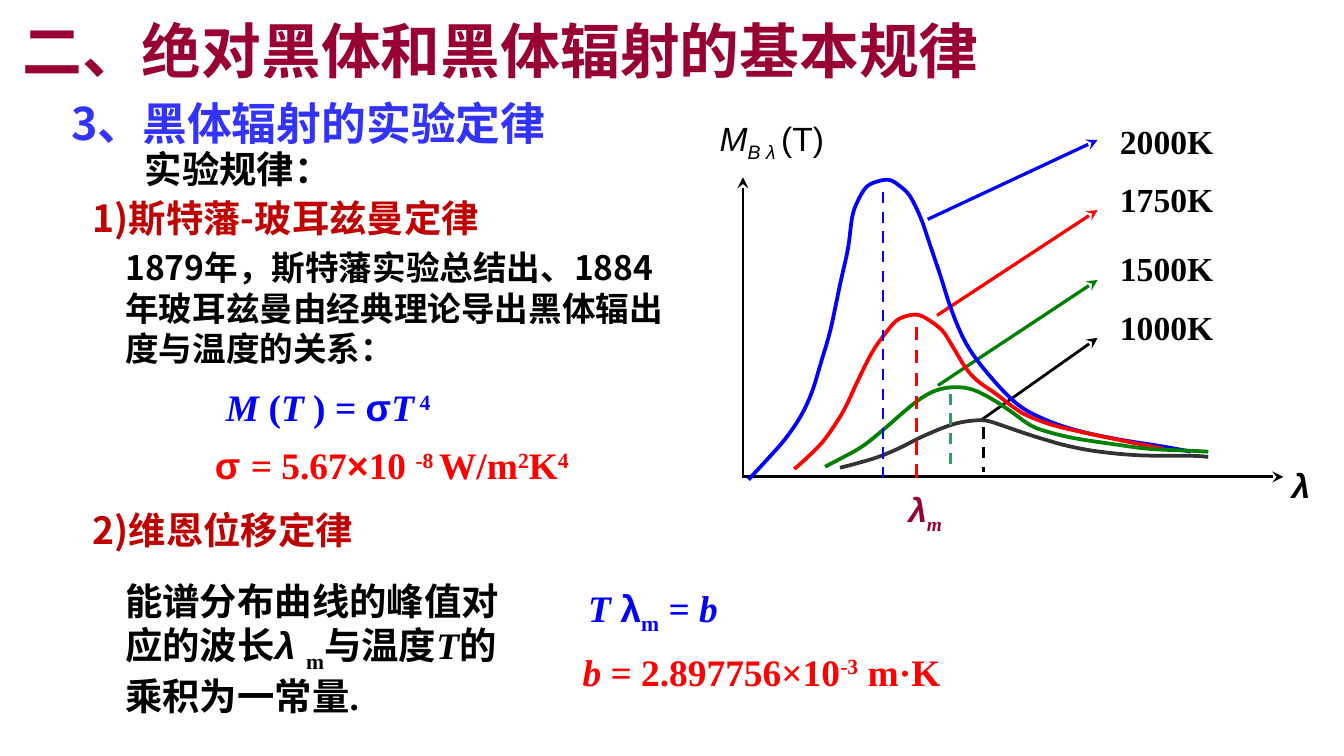
from lxml import etree
from pptx import Presentation
from pptx.dml.color import RGBColor
from pptx.enum.dml import MSO_LINE
from pptx.enum.shapes import MSO_CONNECTOR
from pptx.enum.text import PP_ALIGN
from pptx.oxml.ns import qn
from pptx.util import Pt

STRAIGHT = MSO_CONNECTOR.STRAIGHT
DASH = MSO_LINE.DASH
LEFT, CENTER = PP_ALIGN.LEFT, PP_ALIGN.CENTER

CJK, SERIF, SANS = "Noto Sans CJK SC", "Times New Roman", "Arial"
SUB, SUP = -25000, 30000
COLORS = {"black": "000000", "blue": "0000FF", "red": "FF0000", "green": "008000",
          "gray": "333333", "teal": "339966", "wine": "990033", "brick": "C00000",
          "indigo": "3333FF"}

# Content: box (left, top, width, height), runs, format.
# A run is a string or (string, what differs from the format of the box).
IT = {"italic": True}
GREEK = {"font": SANS}
TEXTS = [
    ((5, 4, 701, 46), ["二、绝对黑体和黑体辐射的基本规律"],
     dict(size=32, color="wine", font=CJK)),
    ((31, 47.5, 516, 36), ["3、黑体辐射的实验定律"],
     dict(size=24, color="indigo", font=CJK)),
    ((70.5, 75, 136, 32), ["实验规律："], dict(font=CJK)),
    ((42.5, 101, 301, 32), ["1)斯特藩-玻耳兹曼定律"], dict(color="brick", font=CJK)),
    ((60, 129, 312, 72),
     ["1879年，斯特藩实验总结出、1884年玻耳兹曼由经典理论导出黑体辐出度与温度的关系："],
     dict(size=18, font=CJK)),
    ((114, 202.5, 164, 34.5),
     [("M ", IT), "(", ("T ", IT), ") = ", ("σ", GREEK), ("T", IT), (" 4", {"base": SUP})],
     dict(color="blue")),
    ((108, 233.5, 269, 32),
     [("σ ", GREEK), "= 5.67", ("×", GREEK), "10 ", ("-8 ", {"base": SUP}), "W/m",
      ("2", {"base": SUP}), "K", ("4", {"base": SUP})], dict(color="red")),
    ((42.5, 268, 271, 32), ["2)维恩位移定律"], dict(color="brick", font=CJK)),
    ((60, 306, 218, 83),
     ["能谱分布曲线的峰值对应的波长", ("λ ", GREEK | IT), ("m", {"base": SUB}),
      "与温度", ("T", IT), "的乘积为一常量."], {}),
    ((308, 310, 136, 34.5),
     [("T ", IT), ("λ", GREEK), ("m", {"base": SUB}), " = ", ("b", IT)], dict(color="blue")),
    ((305, 344, 276, 32),
     [("b", IT), " = 2.897756×10", ("-3", {"base": SUP}), " m·K"], dict(color="red")),
    ((479.5, 258.5, 54, 32), [("λ", GREEK), ("m", {"base": SUB})],
     dict(size=18, color="wine", italic=True)),
]

# Chart labels: tight, centred boxes
LABEL = dict(size=18, align=CENTER, inset=(0, 0), spacing=1.1)
AXIS_LABELS = [
    ((381, 60.5, 65, 27), [("Μ", IT), ("Β λ ", IT | {"base": SUB}), "(Τ)"],
     dict(font=SANS, bold=False, wrap=False)),
    ((683, 247, 28, 24), ["λ"], dict(font=SANS, italic=True)),
]
AXES = [(398, 256, 398, 95), (398, 255.5, 687.5, 255.5)]

# Temperature label, its top, arrow (from, to), arrow colour and width
TEMPERATURES = [
    ("2000K", 62.5, (497, 117.5, 588, 75), "blue", 1.75),
    ("1750K", 93.5, (502, 169, 588, 112.5), "red", 1.75),
    ("1500K", 130.5, (502.5, 206.5, 588, 150), "green", 1.75),
    ("1000K", 162, (525, 225.5, 588, 181), "black", 1.5),
]
# Dashed line at each peak: x, top, bottom, colour, width
PEAKS = [(527, 229, 253, "black", 1.5), (509, 211, 253, "teal", 1.5),
         (491, 175, 258.5, "red", 1.75), (473, 103, 258.5, "blue", 1.5)]
# Knots of the radiation curves
CURVES = {
    "blue": [(401, 257), (411, 246.2), (420.5, 235.4), (429, 223), (435, 210),
             (440, 193.7), (445, 176.4), (450, 152.6), (454.3, 133.2), (456.5, 116.6),
             (459.4, 108), (464.4, 100), (471, 97), (476.6, 96.5), (481.7, 99.4),
             (487.4, 105), (493.2, 116.6), (497.5, 129), (504, 148.3), (509.8, 166.3),
             (517.7, 184.3), (529.2, 200.2), (544.3, 216), (558, 224), (576, 230.4),
             (599, 235.4), (621.4, 239), (638, 242)],
    "red": [(425.5, 251.3), (431.3, 246.2), (440, 237.6), (447, 228), (452.9, 218.2),
            (460, 203), (467.3, 188.6), (474, 179), (480, 172), (486, 169.2),
            (491.8, 168.7), (497.5, 171.4), (504.7, 177), (510, 185), (517, 196.6),
            (523.4, 203.8), (533.5, 211), (543, 218.2), (550, 222.5), (561.6, 227),
            (574.6, 230.4), (601.9, 236.2), (623.5, 240.5)],
    "green": [(442, 250), (450.7, 245.5), (462.2, 239), (473.8, 229.7), (484.6, 220.3),
              (494, 213), (502.6, 208.8), (512, 207.4), (521.3, 208.8), (531.4, 213.8),
              (541.4, 220.3), (551.5, 227.5), (560.2, 231), (575.3, 234.7),
              (599, 238.3), (616.3, 240.5), (638.6, 241.5), (647.3, 242)],
    "gray": [(450, 250.6), (458.6, 248.4), (470, 245), (481, 240.5), (492.5, 234.7),
             (504, 229.7), (512.6, 226.8), (521, 225.4), (528.5, 225.4), (537, 228),
             (548, 231.8), (559.4, 235.4), (572.4, 239), (589, 242), (611.3, 244),
             (638, 244.2), (647.3, 244.8)],
}


def rgb(name):
    return RGBColor.from_string(COLORS[name])


def add_text(s, box, runs, size=20, color="black", font=SERIF, bold=True, italic=False,
             align=LEFT, inset=(7.2, 3.6), spacing=None, wrap=True):
    tf = s.shapes.add_textbox(*map(Pt, box)).text_frame
    tf.word_wrap = wrap
    tf.margin_left = tf.margin_right = Pt(inset[0])
    tf.margin_top = tf.margin_bottom = Pt(inset[1])
    p = tf.paragraphs[0]
    p.alignment = align
    if spacing:
        p.line_spacing = spacing
    for run in runs:
        words, own = (run, {}) if isinstance(run, str) else run
        r = p.add_run()
        r.text = words
        f = r.font
        f.size, f.bold, f.italic = Pt(size), bold, own.get("italic", italic)
        f.color.rgb = rgb(color)
        f.name = own.get("font", font)
        rpr = r._r.get_or_add_rPr()
        etree.SubElement(rpr, qn("a:ea"), typeface=CJK)
        if "base" in own:
            rpr.set("baseline", str(own["base"]))


def add_line(s, ends, color, width, dashed=False, arrow=False):
    c = s.shapes.add_connector(STRAIGHT, *map(Pt, ends))
    c.line.color.rgb, c.line.width = rgb(color), Pt(width)
    if dashed:
        c.line.dash_style = DASH
    if arrow:
        etree.SubElement(c.line._get_or_add_ln(), qn("a:tailEnd"), type="stealth")
    etree.SubElement(c._element.spPr, qn("a:effectLst"))


def smooth(knots, steps=4):
    """Catmull-Rom points through the knots."""
    padded = [knots[0], *knots, knots[-1]]
    points = [knots[0]]
    for a, b, c, d in zip(padded, padded[1:], padded[2:], padded[3:]):
        for t in (i / steps for i in range(1, steps + 1)):
            points.append(tuple(
                q + t / 2 * (r - p + t * (2 * p - 5 * q + 4 * r - u
                                          + t * (3 * q - p - 3 * r + u)))
                for p, q, r, u in zip(a, b, c, d)))
    return points


def add_curve(s, knots, color):
    start, *rest = [(Pt(x), Pt(y)) for x, y in smooth(knots)]
    builder = s.shapes.build_freeform(*start)
    builder.add_line_segments(rest, close=False)
    sp = builder.convert_to_shape()
    sp.shadow.inherit = False
    sp.fill.background()
    sp.line.color.rgb, sp.line.width = rgb(color), Pt(2)


prs = Presentation()
prs.slide_width, prs.slide_height = Pt(720), Pt(405)
s = prs.slides.add_slide(prs.slide_layouts[6])

# Axes, temperature labels and their arrows
for box, runs, style in AXIS_LABELS:
    add_text(s, box, runs, **LABEL, **style)
for ends in AXES:
    add_line(s, ends, "black", 1.5, arrow=True)
for label, top, ends, color, width in TEMPERATURES:
    add_text(s, (600, top, 50, 24), [label], wrap=False, **LABEL)
    add_line(s, ends, color, width, arrow=True)

# Radiation curves and peak lines
for color, knots in CURVES.items():
    add_curve(s, knots, color)
for x, top, bottom, color, width in PEAKS:
    add_line(s, (x, top, x, bottom), color, width, dashed=True)

# Headings, laws and formulas
for box, runs, style in TEXTS:
    add_text(s, box, runs, **style)

prs.save("out.pptx")
